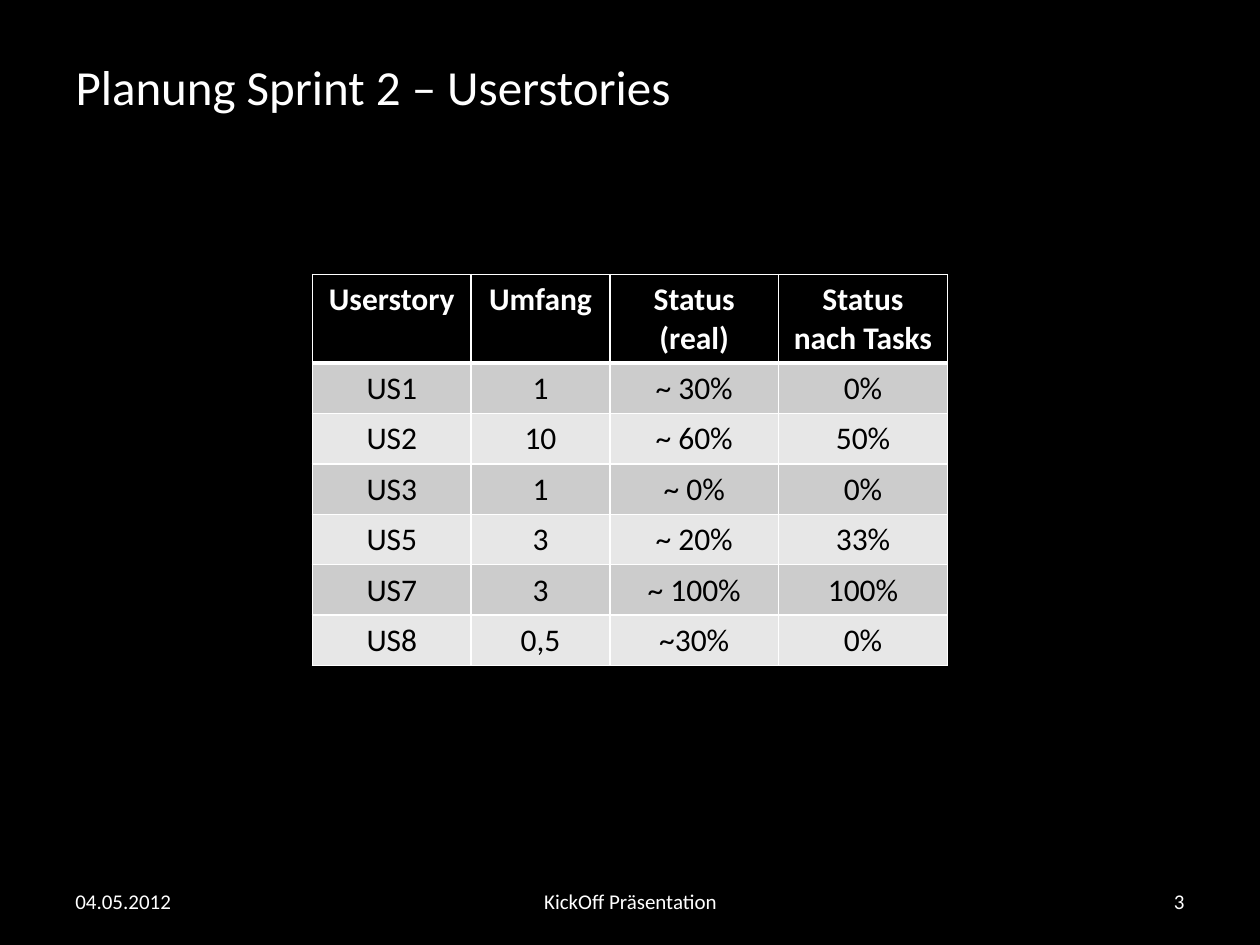
from pptx import Presentation
from pptx.dml.color import RGBColor
from pptx.enum.text import MSO_ANCHOR as Anchor, PP_ALIGN as Align
from pptx.oxml import parse_xml
from pptx.oxml.ns import nsdecls
from pptx.util import Inches, Pt

BLACK = RGBColor(0x00, 0x00, 0x00)
WHITE = RGBColor(0xFF, 0xFF, 0xFF)
DARK_BAND = RGBColor(0xCC, 0xCC, 0xCC)
LIGHT_BAND = RGBColor(0xE7, 0xE7, 0xE7)
FONT = "Calibri"

COLUMN_WIDTHS = (1.26, 1.1, 1.34, 1.34)
HEADER_HEIGHT, ROW_HEIGHT = 0.7, 0.4
STORIES = (
    ("Userstory", "Umfang", "Status (real)", "Status nach Tasks"),
    ("US1", "1", "~ 30%", "0%"),
    ("US2", "10", "~ 60%", "50%"),
    ("US3", "1", "~ 0%", "0%"),
    ("US5", "3", "~ 20%", "33%"),
    ("US7", "3", "~ 100%", "100%"),
    ("US8", "0,5", "~30%", "0%"),
)
FOOTERS = (
    ("04.05.2012", 0.5, 2.33, Align.LEFT),
    ("KickOff Präsentation", 3.42, 3.17, Align.CENTER),
    ("3", 7.17, 2.33, Align.RIGHT),
)


def write_text(frame, text, size, color, align=Align.LEFT, bold=False):
    """Write one formatted run into the first paragraph of a text frame."""
    paragraph = frame.paragraphs[0]
    paragraph.alignment = align
    run = paragraph.add_run()
    run.text = text
    run.font.name = FONT
    run.font.size = Pt(size)
    run.font.bold = bold
    run.font.color.rgb = color


def set_title(slide, text):
    """Place and fill the title placeholder."""
    title = slide.shapes.title
    title.left, title.top = Inches(0.5), Inches(0.3)
    title.width, title.height = Inches(9), Inches(0.77)
    title.text_frame.vertical_anchor = Anchor.MIDDLE
    write_text(title.text_frame, text, 28, WHITE)


def add_footer(slide, text, left, width, align):
    """Add one text box of the footer line."""
    box = slide.shapes.add_textbox(Inches(left), Inches(6.95), Inches(width), Inches(0.4))
    box.text_frame.word_wrap = True
    box.text_frame.vertical_anchor = Anchor.MIDDLE
    write_text(box.text_frame, text, 12, WHITE, align)


def set_borders(cell, top, bottom):
    """Draw white cell borders with the given top and bottom widths in points."""
    properties = cell._tc.get_or_add_tcPr()
    for side, width in (("L", 1), ("R", 1), ("T", top), ("B", bottom)):
        properties.append(parse_xml(
            f'<a:ln{side} {nsdecls("a")} w="{Pt(width)}"><a:solidFill>'
            f'<a:srgbClr val="{WHITE}"/></a:solidFill></a:ln{side}>'
        ))


def style_cell(cell, text, row):
    """Fill a table cell according to its row."""
    header = row == 0
    set_borders(cell, 3 if row == 1 else 1, 3 if header else 1)
    cell.fill.solid()
    band = DARK_BAND if row % 2 else LIGHT_BAND
    cell.fill.fore_color.rgb = BLACK if header else band
    write_text(cell.text_frame, text, 18, WHITE if header else BLACK, Align.CENTER, header)


def add_story_table(slide):
    """Add the table of user stories."""
    height = HEADER_HEIGHT + ROW_HEIGHT * (len(STORIES) - 1)
    table = slide.shapes.add_table(
        len(STORIES), len(COLUMN_WIDTHS),
        Inches(2.48), Inches(2.18), Inches(sum(COLUMN_WIDTHS)), Inches(height),
    ).table
    for column, width in zip(table.columns, COLUMN_WIDTHS):
        column.width = Inches(width)
    for row, values in enumerate(STORIES):
        table.rows[row].height = Inches(ROW_HEIGHT if row else HEADER_HEIGHT)
        for column, text in enumerate(values):
            style_cell(table.cell(row, column), text, row)


def main():
    """Build the sprint planning slide."""
    presentation = Presentation()
    presentation.slide_width, presentation.slide_height = Inches(10), Inches(7.5)
    slide = presentation.slides.add_slide(presentation.slide_layouts[5])
    slide.background.fill.solid()
    slide.background.fill.fore_color.rgb = BLACK
    set_title(slide, "Planung Sprint 2 – Userstories")
    for footer in FOOTERS:
        add_footer(slide, *footer)
    add_story_table(slide)
    presentation.save("out.pptx")


main()
